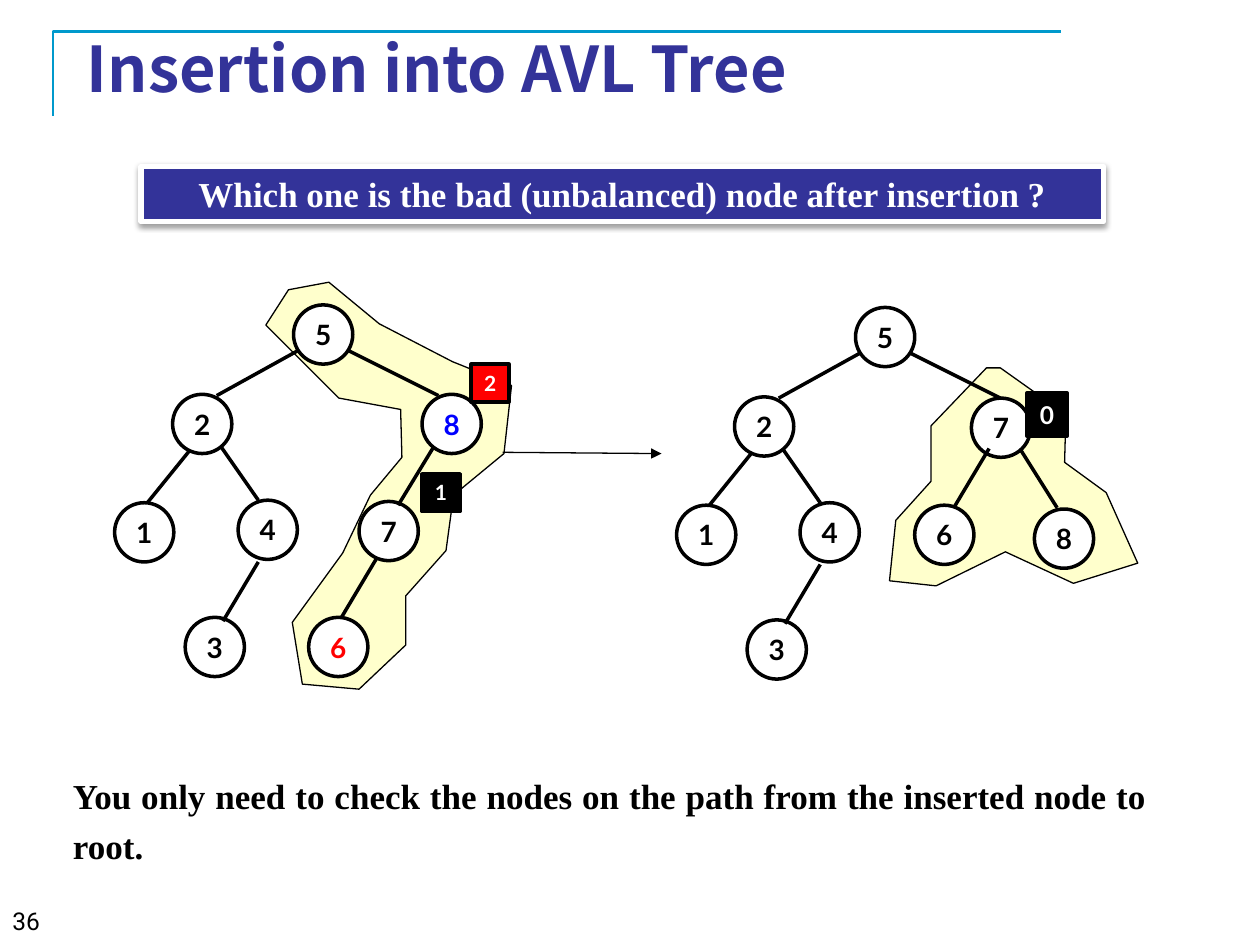
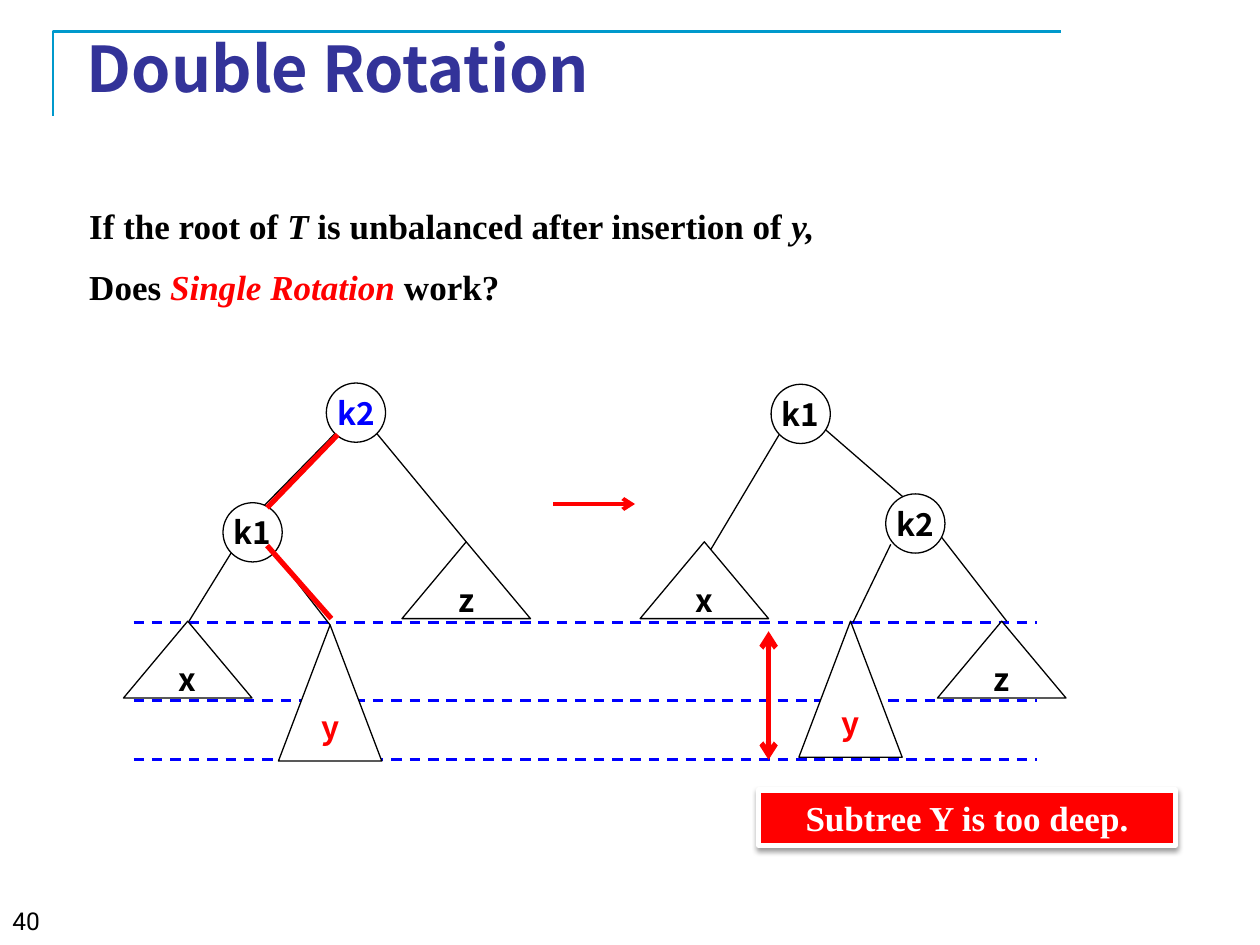
from lxml import etree
from pptx import Presentation
from pptx import util as u
from pptx.dml.color import RGBColor
from pptx.enum import dml, shapes, text
from pptx.oxml.ns import qn

PX = 9144  # 100 px to the inch
BLACK, WHITE, RED, BLUE = "000000", "FFFFFF", "FF0000", "0000FF"
INDIGO, TEAL, CREAM = "333399", "0099CC", "FFFFCC"
SERIF, SANS, NODE_FONT, NUMBER_FONT = "Times New Roman", "Noto Sans CJK KR", "Lato", "Roboto"
OVAL, RECT = shapes.MSO_SHAPE.OVAL, shapes.MSO_SHAPE.RECTANGLE
TRIANGLE = shapes.MSO_SHAPE.ISOSCELES_TRIANGLE
LEFT, CENTER, JUSTIFY = text.PP_ALIGN.LEFT, text.PP_ALIGN.CENTER, text.PP_ALIGN.JUSTIFY
TOP, MIDDLE = text.MSO_ANCHOR.TOP, text.MSO_ANCHOR.MIDDLE
NODE = 47
rgb = RGBColor.from_string


def write(box, place, paragraphs, font=SANS, size=18, color=BLACK, bold=True, align=CENTER,
          anchor=MIDDLE, wrap=False, spacing=None, before=0, fill=None, line=None, width=0.75):
    """Place a box and fill it with text: a string, or lists of (text, italic, color) spans."""
    box.left, box.top, box.width, box.height = [n * PX for n in place]
    if fill:
        box.shadow.inherit = False
        box.fill.solid()
        box.fill.fore_color.rgb = rgb(fill)
        box.line.color.rgb = rgb(line)
        box.line.width = u.Pt(width)
    frame = box.text_frame
    frame.word_wrap = wrap
    frame.auto_size = text.MSO_AUTO_SIZE.NONE
    frame.vertical_anchor = anchor
    if isinstance(paragraphs, str):
        paragraphs = [[(paragraphs, False, color)]]
    for index, spans in enumerate(paragraphs):
        para = frame.add_paragraph() if index else frame.paragraphs[0]
        para.alignment = align
        para.space_before = u.Pt(before)
        if spacing:
            para.line_spacing = spacing
        for words, italic, span_color in spans:
            span = para.add_run()
            span.text = words
            span.font.name, span.font.size = font, u.Pt(size)
            span.font.bold, span.font.italic = bold, italic
            span.font.color.rgb = rgb(span_color)


def add_line(page, ends, color=BLACK, width=0.75, dash=None, head=None, tail=None):
    line = page.shapes.add_connector(shapes.MSO_CONNECTOR.STRAIGHT, *[n * PX for n in ends])
    line.line.color.rgb = rgb(color)
    line.line.width = u.Pt(width)
    if dash:
        line.line.dash_style = dash
    properties = line._element.spPr
    for tag, arrow in (("a:headEnd", head), ("a:tailEnd", tail)):
        if arrow:
            etree.SubElement(properties.find(qn("a:ln")), qn(tag), type=arrow)
    etree.SubElement(properties, qn("a:effectLst"))


deck = Presentation()
deck.slide_width, deck.slide_height = 1000 * PX, 750 * PX

# What both slides share: title, corner rule, page number and banner
banner_style = dict(font=SERIF, size=20, color=WHITE, anchor=TOP, wrap=True, line=WHITE, width=3)
body_style = dict(font=SERIF, size=20, align=JUSTIFY, anchor=TOP, wrap=True, before=11)
pages = []
for title, number, banner, banner_place, banner_fill in [
    ("Insertion into AVL Tree", "36", "Which one is the bad (unbalanced) node after insertion ?",
     (112, 132, 764, 44), INDIGO),
    ("Double Rotation", "40", "Subtree Y is too deep.", (602, 627, 331, 44), RED),
]:
    page = deck.slides.add_slide(deck.slide_layouts[5])
    pages.append(page)
    write(page.shapes.title, (59, 30, 850, 47), title, size=36, color=INDIGO,
          align=JUSTIFY, wrap=True)
    pen = page.shapes.build_freeform(42, 92, scale=PX)
    pen.add_line_segments([(42, 25), (842, 25)], close=False)
    corner = pen.convert_to_shape()
    corner.shadow.inherit = False
    corner.fill.background()
    corner.line.color.rgb = rgb(TEAL)
    corner.line.width = u.Pt(1.5)
    write(page.shapes.add_textbox(0, 0, 0, 0), (0, 714, 312, 36), number, font=NUMBER_FONT,
          size=14, bold=False, align=LEFT, anchor=TOP, wrap=True)
    box = page.shapes.add_shape(RECT, 0, 0, 0, 0)
    write(box, banner_place, banner, fill=banner_fill, **banner_style)
    effects = box._element.spPr.find(qn("a:effectLst"))
    shadow = etree.SubElement(effects, qn("a:outerShdw"), blurRad="40000", dist="20000",
                              dir="5400000", rotWithShape="0")
    shade = etree.SubElement(shadow, qn("a:srgbClr"), val=BLACK)
    etree.SubElement(shade, qn("a:alpha"), val="38000")

insertion, rotation = pages

# Insertion: the highlighted regions lie behind the trees
rebalanced_region = [
    (783, 292), (739, 338), (739, 382), (711, 413), (706, 461), (743, 465), (798, 438),
    (852, 463), (903, 447), (878, 391), (845, 367), (846, 329), (794, 292)]
insertion_path = [
    (211, 258), (269, 316), (318, 325), (319, 363), (294, 393), (272, 439), (232, 494),
    (240, 543), (285, 547), (322, 512), (322, 473), (354, 437), (360, 393), (400, 360),
    (406, 306), (359, 287), (301, 257), (261, 224), (229, 230)]
for outline in (rebalanced_region, insertion_path):
    pen = insertion.shapes.build_freeform(*outline[0], scale=PX)
    pen.add_line_segments(outline[1:], close=True)
    region = pen.convert_to_shape()
    region.shadow.inherit = False
    region.fill.solid()
    region.fill.fore_color.rgb = rgb(CREAM)
    region.line.color.rgb = rgb(BLACK)
    region.line.width = u.Pt(0.75)

# Both trees hold the same root and left subtree, moved by a shift
common_nodes = [("5", 233, 242, BLACK), ("2", 137, 313, BLACK), ("1", 91, 399, BLACK),
                ("4", 189, 397, BLACK), ("3", 147, 490, BLACK)]
common_edges = [(151, 357, 117, 399), (175, 354, 205, 397), (237, 278, 172, 314),
                (276, 278, 348, 314), (205, 446, 177, 493)]
trees = [
    (0, 0,
     [("7", 285, 398, BLACK), ("8", 335, 313, BLUE), ("6", 245, 490, RED)],
     [(344, 355, 316, 401), (299, 443, 271, 490)]),
    (446, 2,
     [("7", 771, 316, BLACK), ("8", 821, 404, BLACK), ("6", 726, 401, BLACK)],
     [(810, 357, 839, 403), (785, 356, 757, 403)]),
]
for dx, dy, own_nodes, own_edges in trees:
    nodes = [(key, x + dx, y + dy, color) for key, x, y, color in common_nodes] + own_nodes
    edges = [(x1 + dx, y1 + dy, x2 + dx, y2 + dy) for x1, y1, x2, y2 in common_edges] + own_edges
    for key, x, y, color in nodes:
        write(insertion.shapes.add_shape(OVAL, 0, 0, 0, 0), (x, y, NODE, NODE), key,
              font=NODE_FONT, size=16, color=color, fill=WHITE, line=BLACK, width=2)
    for edge in edges:
        add_line(insertion, edge, width=2)

for balance, place, size, fill in [("2", (374, 289, 30, 30), 12, RED),
                                   ("1", (335, 376, 30, 30), 12, BLACK),
                                   ("0", (815, 312, 32, 34), 14, BLACK)]:
    write(insertion.shapes.add_shape(RECT, 0, 0, 0, 0), place, balance, font=NODE_FONT,
          size=size, color=WHITE, fill=fill, line=BLACK, width=2)
add_line(insertion, (399, 359, 525, 360), tail="triangle")
write(insertion.shapes.add_textbox(0, 0, 0, 0), (48, 603, 872, 91),
      "You only need to check the nodes on the path from the inserted node to root.",
      spacing=1.2, **body_style)

# Rotation: question, depth levels, then the tree before and after
write(rotation.shapes.add_textbox(0, 0, 0, 0), (61, 157, 872, 93), [
    [("If the root of ", False, BLACK), ("T ", True, BLACK),
     ("is unbalanced after insertion of ", False, BLACK), ("y,", True, BLACK)],
    [("Does ", False, BLACK), ("Single Rotation", True, RED), (" work?", False, BLACK)],
], **body_style)
for level in (494, 556, 603):
    add_line(rotation, (106, level, 823, level), BLUE, 1.5, dash=dml.MSO_LINE.DASH)
for edge in [(266, 344, 210, 401), (184, 438, 150, 493), (217, 438, 262, 496),
             (299, 344, 370, 430), (654, 340, 722, 399), (619, 344, 563, 438),
             (707, 432, 677, 494), (747, 426, 799, 493)]:
    add_line(rotation, edge)

node, subtree, deep_subtree = (OVAL, NODE, NODE), (TRIANGLE, 102, 61), (TRIANGLE, 82, 108)
for (kind, width, height), x, y, label, color in [
    (node, 259, 304, "k2", BLUE), (node, 177, 399, "k1", BLACK),
    (subtree, 98, 493, "x", BLACK), (deep_subtree, 221, 496, "y", RED),
    (subtree, 319, 430, "z", BLACK),
    (node, 612, 305, "k1", BLACK), (node, 703, 392, "k2", BLACK),
    (subtree, 508, 430, "x", BLACK), (deep_subtree, 634, 493, "y", RED),
    (subtree, 744, 493, "z", BLACK),
]:
    write(rotation.shapes.add_shape(kind, 0, 0, 0, 0), (x, y, width, height), label,
          color=color, fill=WHITE, line=BLACK)

for inner_edge in [(268, 345, 212, 403), (263, 491, 212, 433)]:
    add_line(rotation, inner_edge, RED, 3)
add_line(rotation, (439, 400, 504, 400), RED, 2.25, tail="arrow")
add_line(rotation, (610, 501, 610, 603), RED, 3, head="arrow", tail="arrow")

deck.save("out.pptx")
